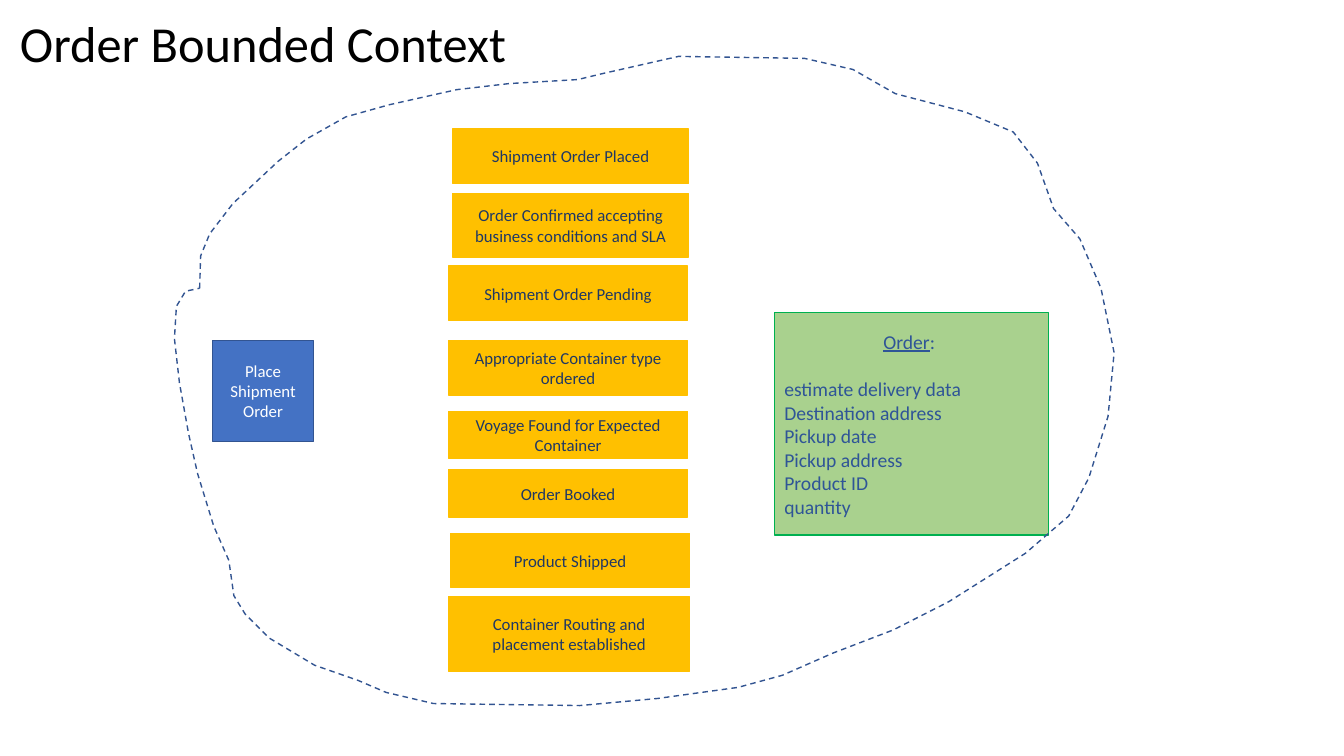
"""Build the Order Bounded Context slide."""
from pptx import Presentation
from pptx.dml.color import RGBColor
from pptx.enum.dml import MSO_LINE_DASH_STYLE as Dash
from pptx.enum.shapes import MSO_SHAPE as Shape
from pptx.enum.text import MSO_ANCHOR as Anchor, PP_ALIGN as Align
from pptx.util import Pt

PX = 9144
FONT = "Calibri"
BLACK = RGBColor(0x00, 0x00, 0x00)
WHITE = RGBColor(0xFF, 0xFF, 0xFF)
BLUE = RGBColor(0x44, 0x72, 0xC4)
BLUE_EDGE = RGBColor(0x32, 0x54, 0x91)
NAVY = RGBColor(0x20, 0x38, 0x64)
ORDER_INK = RGBColor(0x2F, 0x55, 0x97)
AMBER = RGBColor(0xFF, 0xC0, 0x00)
LIME = RGBColor(0xA9, 0xD1, 0x8E)
GREEN = RGBColor(0x00, 0xB0, 0x50)

EVENTS = [
    ("Shipment Order Placed", 449, 128, 234, 54),
    ("Order Confirmed accepting business conditions and SLA", 449, 192, 234, 63),
    ("Shipment Order Pending", 445, 264, 237, 54),
    ("Appropriate Container type ordered", 445, 338, 237, 54),
    ("Voyage Found for Expected Container", 445, 408, 237, 47),
    ("Order Booked", 445, 466, 237, 47),
    ("Product Shipped", 447, 529, 237, 54),
    ("Container Routing and placement established", 445, 592, 239, 74),
]

ORDER_FIELDS = [
    "estimate delivery data", "Destination address", "Pickup date",
    "Pickup address", "Product ID", "quantity",
]

BOUNDARY = [
    (198, 286), (199, 254), (208, 232), (231, 202), (276, 160), (304, 138),
    (343, 116), (386, 104), (453, 89), (505, 83), (573, 79), (598, 73),
    (673, 56), (798, 58), (846, 69), (888, 93), (957, 111), (1005, 131),
    (1029, 162), (1045, 207), (1071, 237), (1092, 286), (1105, 350),
    (1099, 413), (1080, 474), (1060, 512), (1017, 549), (941, 597),
    (886, 625), (826, 648), (776, 670), (732, 682), (652, 693), (575, 700),
    (430, 698), (383, 687), (355, 675), (312, 660), (267, 633), (243, 609),
    (232, 591), (227, 556), (212, 522), (196, 470), (187, 430), (178, 380),
    (173, 336), (175, 304), (184, 289),
]


def add_run(para, text, size, color, underline=None):
    """Append one styled run to a paragraph."""
    span = para.add_run()
    span.text = text
    span.font.name = FONT
    span.font.size = Pt(size)
    span.font.color.rgb = color
    span.font.underline = underline


def add_block(page, bounds, fill, edge):
    """Add an outlined rectangle and return its text frame."""
    box = page.shapes.add_shape(Shape.RECTANGLE, *(n * PX for n in bounds))
    box.shadow.inherit = False
    box.fill.solid()
    box.fill.fore_color.rgb = fill
    box.line.color.rgb = edge
    box.line.width = Pt(1)
    frame = box.text_frame
    frame.word_wrap = True
    frame.vertical_anchor = Anchor.MIDDLE
    return frame


def add_label_block(page, text, bounds, fill, edge, ink):
    """Add a rectangle with one centred label."""
    para = add_block(page, bounds, fill, edge).paragraphs[0]
    para.alignment = Align.CENTER
    add_run(para, text, 12, ink)


def add_order_card(page):
    """Add the order card with its heading and fields."""
    frame = add_block(page, (768, 310, 272, 221), LIME, GREEN)
    heading = frame.paragraphs[0]
    heading.alignment = Align.CENTER
    add_run(heading, "Order", 14, ORDER_INK, True)
    add_run(heading, ": ", 14, ORDER_INK, False)
    for index, field in enumerate(ORDER_FIELDS):
        para = frame.add_paragraph()
        para.alignment = Align.LEFT
        if index == 0:
            para.space_before = Pt(17)
        add_run(para, field, 14, ORDER_INK)


def add_boundary(page):
    """Add the dashed outline of the bounded context."""
    builder = page.shapes.build_freeform(*BOUNDARY[0], scale=PX)
    builder.add_line_segments(BOUNDARY[1:], close=True)
    outline = builder.convert_to_shape()
    outline.shadow.inherit = False
    outline.fill.background()
    outline.line.color.rgb = BLUE_EDGE
    outline.line.width = Pt(1)
    outline.line.dash_style = Dash.DASH


def add_title(page, text):
    """Add the slide title."""
    box = page.shapes.add_textbox(10 * PX, 24 * PX, 1150 * PX, 43 * PX)
    frame = box.text_frame
    frame.word_wrap = True
    frame.vertical_anchor = Anchor.MIDDLE
    para = frame.paragraphs[0]
    para.line_spacing = 0.9
    add_run(para, text, 36, BLACK)


def main():
    """Build and save the deck."""
    deck = Presentation()
    deck.slide_width = 1333 * PX
    deck.slide_height = 750 * PX
    page = deck.slides.add_slide(deck.slide_layouts[6])
    add_label_block(page, "Place Shipment Order", (211, 338, 100, 100),
                    BLUE, BLUE_EDGE, WHITE)
    for text, *bounds in EVENTS:
        add_label_block(page, text, bounds, AMBER, AMBER, NAVY)
    add_order_card(page)
    add_boundary(page)
    add_title(page, "Order Bounded Context")
    deck.save("out.pptx")


if __name__ == "__main__":
    main()
